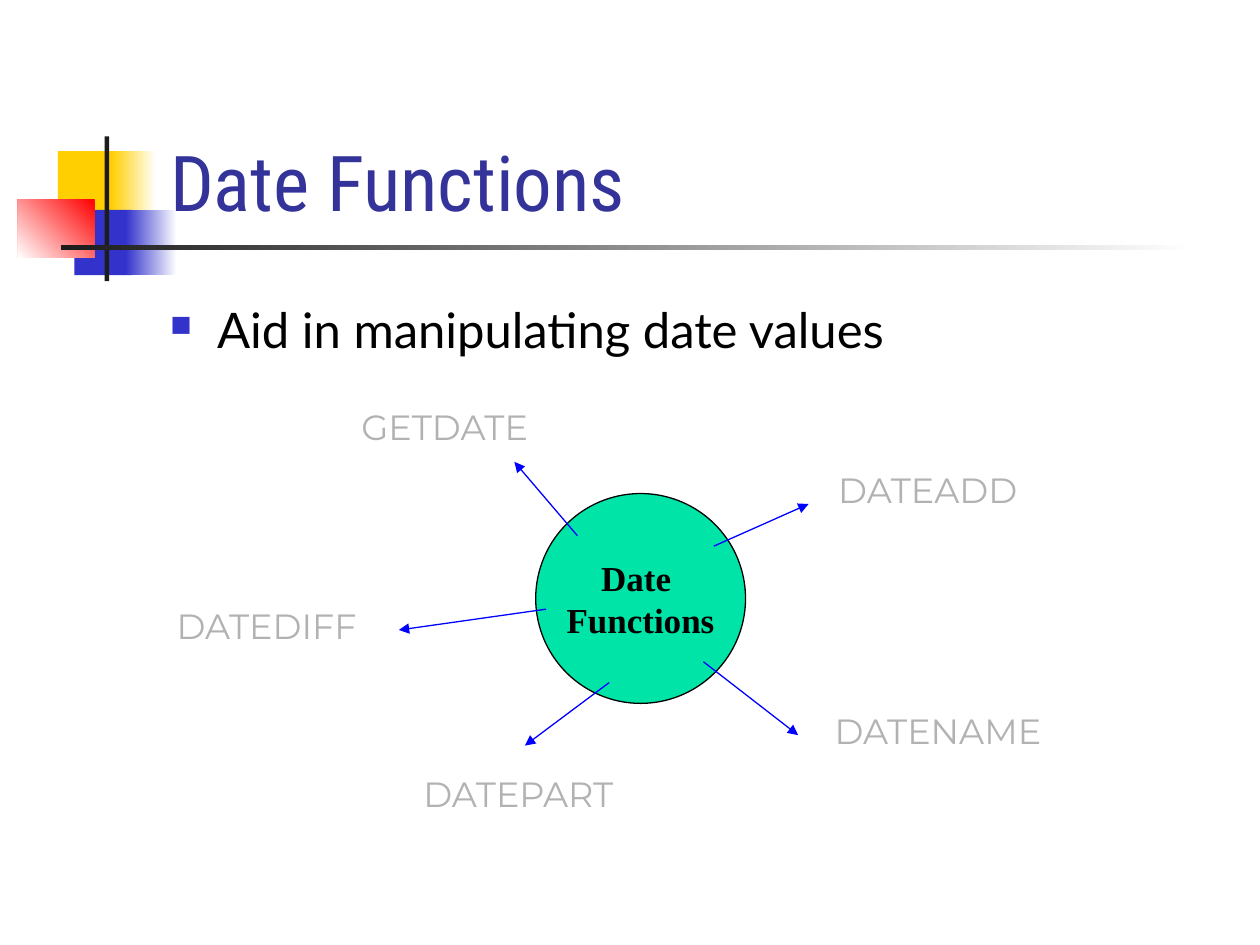
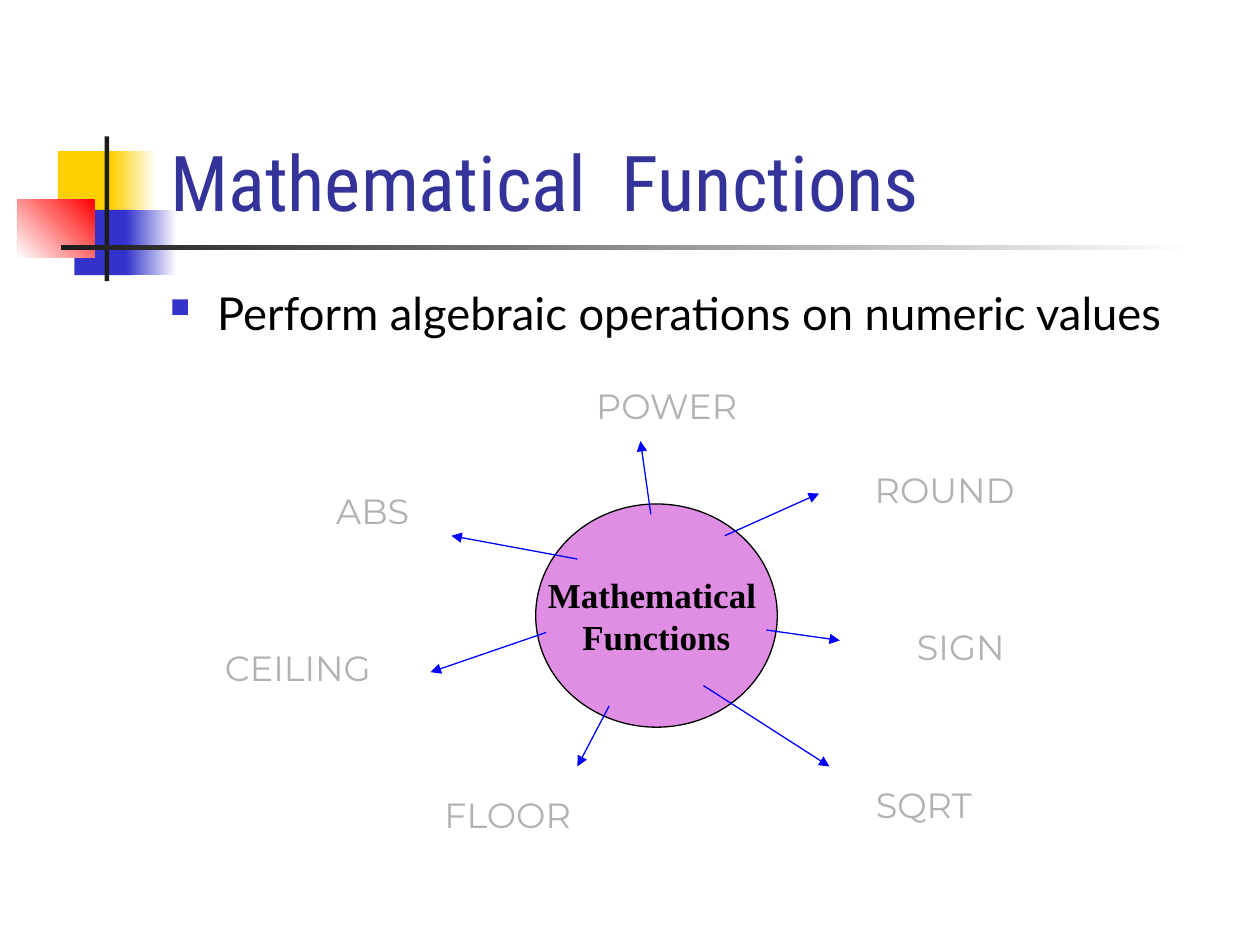
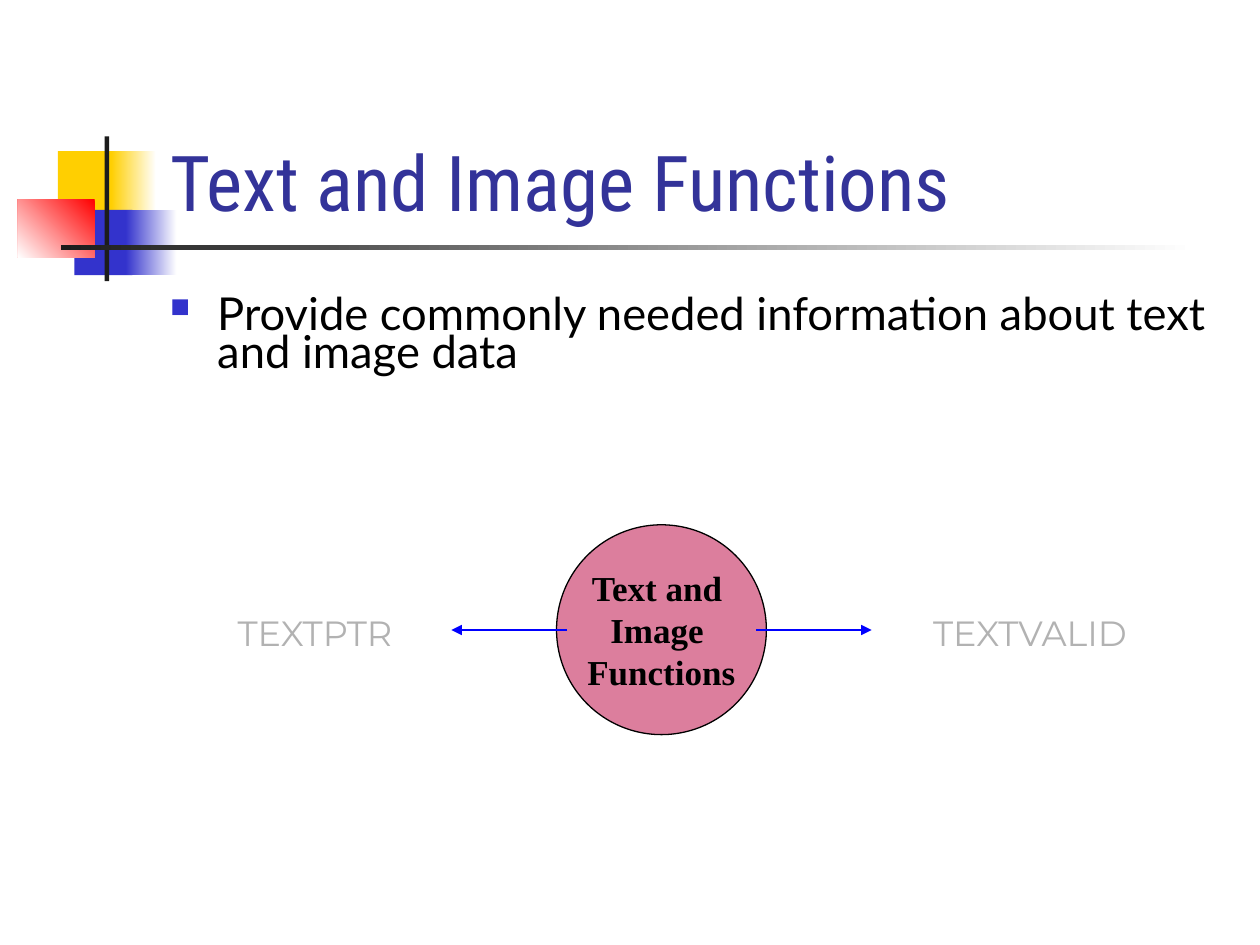
from dataclasses import dataclass

from lxml import etree
from pptx import Presentation
from pptx.dml.color import RGBColor
from pptx.enum.shapes import MSO_CONNECTOR, MSO_SHAPE
from pptx.enum.text import MSO_ANCHOR, PP_ALIGN
from pptx.oxml.ns import qn
from pptx.util import Cm, Pt

RECTANGLE = MSO_SHAPE.RECTANGLE
OVAL = MSO_SHAPE.OVAL
STRAIGHT = MSO_CONNECTOR.STRAIGHT
TOP, MIDDLE, BOTTOM = MSO_ANCHOR.TOP, MSO_ANCHOR.MIDDLE, MSO_ANCHOR.BOTTOM
LEFT, CENTER = PP_ALIGN.LEFT, PP_ALIGN.CENTER

WHITE = RGBColor(0xFF, 0xFF, 0xFF)
BLACK = RGBColor(0x00, 0x00, 0x00)
YELLOW = RGBColor(0xFF, 0xCF, 0x01)
BLUE = RGBColor(0x33, 0x33, 0xCC)
RED = RGBColor(0xFF, 0x00, 0x00)
CHARCOAL = RGBColor(0x1C, 0x1C, 0x1C)
TITLE_BLUE = RGBColor(0x33, 0x33, 0x99)
ARROW_BLUE = RGBColor(0x00, 0x00, 0xFF)
LABEL_GREY = RGBColor(0xB2, 0xB2, 0xB2)
GREEN = RGBColor(0x00, 0xE4, 0xA8)
ORCHID = RGBColor(0xE0, 0x8E, 0xE4)
ROSE = RGBColor(0xDC, 0x7E, 0x9D)

TITLE_FONT = "Roboto Condensed"
BODY_FONT = "Lato"
LABEL_FONT = "Montserrat"
HUB_FONT = "Times New Roman"

BULLET_INDENT = Cm(0.95)
LABEL_HEIGHT = 1.02
THIN = Pt(0.75)


@dataclass
class Area:
    """A rectangle on the slide, in centimetres."""
    left: float
    top: float
    width: float
    height: float

    def lengths(self) -> tuple:
        return Cm(self.left), Cm(self.top), Cm(self.width), Cm(self.height)


@dataclass
class Block:
    """A rectangle of the title ornament; with an angle it fades to white."""
    area: Area
    color: RGBColor
    angle: int | None = None


@dataclass
class Spoke:
    """A function name and the arrow that leads to it from the hub."""
    name: str
    left: float
    top: float
    width: float
    start: tuple[float, float]
    end: tuple[float, float]


@dataclass
class FunctionPage:
    title: str
    summary: str
    hub_lines: list[str]
    hub_area: Area
    hub_color: RGBColor
    spokes: list[Spoke]
    summary_width: float = 21.56
    summary_size: float = 25.9
    summary_spacing: float | None = 0.7


TITLE_AREA = Area(3.18, 1.51, 21.64, 3.18)

ORNAMENT = [
    Block(Area(1.17, 3.05, 1.22, 1.32), YELLOW),
    Block(Area(2.24, 3.05, 0.91, 1.32), YELLOW, 0),
    Block(Area(1.5, 4.23, 1.17, 1.32), BLUE),
    Block(Area(2.54, 4.23, 1.02, 1.32), BLUE, 0),
    Block(Area(0.36, 4.02, 1.55, 1.17), RED, 225),
    Block(Area(2.11, 2.75, 0.09, 2.92), CHARCOAL),
    Block(Area(1.23, 4.94, 22.86, 0.1), CHARCOAL, 0),
]

PAGES = [
    FunctionPage(
        "Date Functions", "Aid in manipulating date values",
        ["Date ", "Functions"], Area(10.8, 9.95, 4.23, 4.23), GREEN,
        [
            Spoke("GETDATE", 6.77, 8.04, 4.39, (11.64, 10.8), (10.37, 9.31)),
            Spoke("DATEDIFF", 3.18, 12.07, 4.39, (11.01, 12.28), (8.04, 12.7)),
            Spoke("DATEPART", 7.95, 15.45, 5, (12.28, 13.76), (10.58, 15.03)),
            Spoke("DATEADD", 16.51, 9.31, 4.39, (14.39, 11.01), (16.3, 10.16)),
            Spoke("DATENAME", 16.41, 14.18, 5, (14.18, 13.34), (16.09, 14.82)),
        ],
        summary_width=20.47, summary_size=28, summary_spacing=None,
    ),
    FunctionPage(
        "Mathematical  Functions", "Perform algebraic operations on numeric values",
        ["Mathematical ", "Functions"], Area(10.8, 10.16, 4.87, 4.5), ORCHID,
        [
            Spoke("ABS", 6.14, 9.74, 2.75, (11.64, 11.27), (9.1, 10.8)),
            Spoke("CEILING", 3.81, 12.91, 4.39, (11.01, 12.75), (8.68, 13.55)),
            Spoke("FLOOR", 8.04, 15.88, 4.39, (12.28, 14.23), (11.64, 15.45)),
            Spoke("ROUND", 16.93, 9.31, 4.23, (14.61, 10.8), (16.51, 9.95)),
            Spoke("SQRT", 16.93, 15.66, 3.39, (14.18, 13.82), (16.72, 15.45)),
            Spoke("POWER", 11.43, 7.62, 4.02, (13.12, 10.37), (12.91, 8.89)),
            Spoke("SIGN", 17.57, 12.49, 3.6, (15.45, 12.7), (16.93, 12.91)),
        ],
    ),
    FunctionPage(
        "Text and Image Functions",
        "Provide commonly needed information about text and image data",
        ["Text and ", "Image ", "Functions"], Area(11.22, 10.58, 4.23, 4.23), ROSE,
        [
            Spoke("TEXTPTR", 4.02, 12.2, 4.66, (11.43, 12.7), (9.1, 12.7)),
            Spoke("TEXTVALID", 17.83, 12.2, 5.87, (15.24, 12.7), (17.57, 12.7)),
        ],
    ),
]


def add_bullet(para) -> None:
    properties = para._p.get_or_add_pPr()
    properties.set("marL", str(BULLET_INDENT))
    properties.set("indent", str(-BULLET_INDENT))
    color = etree.SubElement(properties, qn("a:buClr"))
    etree.SubElement(color, qn("a:srgbClr"), val=str(BLUE))
    etree.SubElement(properties, qn("a:buSzPct"), val="60000")
    etree.SubElement(properties, qn("a:buChar"), char="■")


def write_text(shape, lines: list[str], *, font: str, size: float, color: RGBColor,
               bold: bool = False, align=LEFT, anchor=TOP, wrap: bool = True,
               bullet: bool = False, spacing: float | None = None) -> None:
    frame = shape.text_frame
    frame.word_wrap = wrap
    frame.vertical_anchor = anchor
    for index, line in enumerate(lines):
        para = frame.add_paragraph() if index else frame.paragraphs[0]
        para.alignment = align
        para.line_spacing = spacing
        if bullet:
            add_bullet(para)
        span = para.add_run()
        span.text = line
        span.font.name = font
        span.font.size = Pt(size)
        span.font.bold = bold
        span.font.color.rgb = color


def add_text(page, area: Area, text: str, **text_format) -> None:
    write_text(page.shapes.add_textbox(*area.lengths()), [text], **text_format)


def add_block(page, block: Block) -> None:
    shape = page.shapes.add_shape(RECTANGLE, *block.area.lengths())
    shape.shadow.inherit = False
    shape.line.fill.background()
    if block.angle is None:
        shape.fill.solid()
        shape.fill.fore_color.rgb = block.color
        return
    shape.fill.gradient()
    shape.fill.gradient_angle = block.angle
    for stop, color in zip(shape.fill.gradient_stops, (block.color, WHITE)):
        stop.color.rgb = color


def add_hub(page, content: FunctionPage) -> None:
    hub = page.shapes.add_shape(OVAL, *content.hub_area.lengths())
    hub.shadow.inherit = False
    hub.fill.solid()
    hub.fill.fore_color.rgb = content.hub_color
    hub.line.color.rgb = BLACK
    hub.line.width = THIN
    write_text(hub, content.hub_lines, font=HUB_FONT, size=20, color=BLACK,
               bold=True, align=CENTER, anchor=MIDDLE, wrap=False)


def add_spoke(page, spoke: Spoke) -> None:
    ends = [Cm(value) for value in (*spoke.start, *spoke.end)]
    arrow = page.shapes.add_connector(STRAIGHT, *ends)
    arrow.line.color.rgb = ARROW_BLUE
    arrow.line.width = THIN
    etree.SubElement(arrow.line._get_or_add_ln(), qn("a:tailEnd"), type="triangle")
    etree.SubElement(arrow._element.spPr, qn("a:effectLst"))
    add_text(page, Area(spoke.left, spoke.top, spoke.width, LABEL_HEIGHT), spoke.name,
             font=LABEL_FONT, size=20, color=LABEL_GREY, align=CENTER, wrap=False)


def add_page(deck, content: FunctionPage) -> None:
    page = deck.slides.add_slide(deck.slide_layouts[6])
    for block in ORNAMENT:
        add_block(page, block)
    add_text(page, TITLE_AREA, content.title, font=TITLE_FONT, size=44,
             color=TITLE_BLUE, anchor=BOTTOM)
    add_text(page, Area(3.18, 5.92, content.summary_width, 1.98), content.summary,
             font=BODY_FONT, size=content.summary_size, color=BLACK,
             bullet=True, spacing=content.summary_spacing)
    add_hub(page, content)
    for spoke in content.spokes:
        add_spoke(page, spoke)


def main() -> None:
    deck = Presentation()
    deck.slide_width = Cm(25.4)
    deck.slide_height = Cm(19.05)
    for content in PAGES:
        add_page(deck, content)
    deck.save("out.pptx")


if __name__ == "__main__":
    main()
